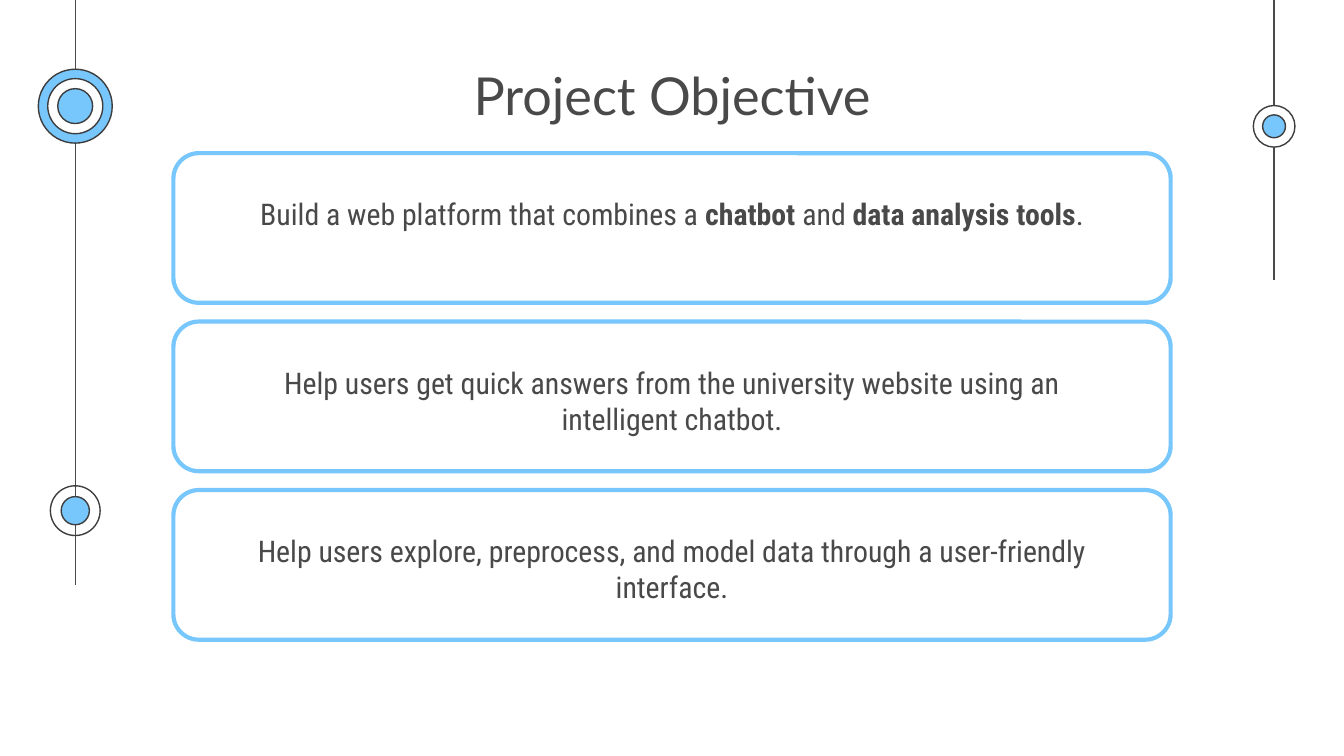
from lxml import etree
from pptx import Presentation
from pptx.dml.color import RGBColor
from pptx.enum import shapes, text
from pptx.oxml import ns
from pptx.util import Inches, Pt

BLUE = RGBColor(0x77, 0xC6, 0xFC)
WHITE = RGBColor(0xFF, 0xFF, 0xFF)
GREY = RGBColor(0x49, 0x49, 0x49)
OUTLINE = RGBColor(0x3D, 0x3D, 0x3D)

OBJECTIVES = [
    [("Build a web platform that combines a ", False), ("chatbot", True),
     (" and ", False), ("data analysis tools", True), (".", False)],
    [("Help users get quick answers from the university website "
      "using an intelligent chatbot.", False)],
    [("Help users explore, preprocess, and model data through a "
      "user-friendly interface.", False)],
]


def add_outlined_shape(slide, kind, box, fill, line, width):
    """Add a shadowless shape, unfilled when fill is None."""
    shape = slide.shapes.add_shape(kind, *map(Inches, box))
    shape.shadow.inherit = False
    if fill is None:
        shape.fill.background()
    else:
        shape.fill.solid()
        shape.fill.fore_color.rgb = fill
    shape.line.color.rgb = line
    shape.line.width = Pt(width)
    return shape


def add_timeline(slide, x, length, markers):
    """Hang a vertical line from the top edge with concentric rings along it."""
    connector = slide.shapes.add_connector(
        shapes.MSO_CONNECTOR.STRAIGHT, Inches(x), 0, Inches(x), Inches(length))
    connector.line.color.rgb = GREY
    connector.line.width = Pt(0.75)
    etree.SubElement(connector._element.spPr, ns.qn("a:effectLst"))
    for y, rings in markers:
        for diameter, fill in rings:
            box = (x - diameter / 2, y - diameter / 2, diameter, diameter)
            add_outlined_shape(slide, shapes.MSO_SHAPE.OVAL, box, fill, OUTLINE, 0.75)


def add_centred_text(slide, box, runs, font_name, size):
    """Write one centred paragraph of (text, bold) runs in a box."""
    frame = slide.shapes.add_textbox(*map(Inches, box)).text_frame
    frame.word_wrap = True
    frame.vertical_anchor = text.MSO_ANCHOR.TOP
    frame.margin_left = frame.margin_right = Inches(0.1)
    frame.margin_top = frame.margin_bottom = Inches(0.1)
    paragraph = frame.paragraphs[0]
    paragraph.alignment = text.PP_ALIGN.CENTER
    for content, bold in runs:
        run = paragraph.add_run()
        run.text = content
        run.font.name = font_name
        run.font.size = Pt(size)
        run.font.bold = bold
        run.font.color.rgb = GREY


def add_objective(slide, box, runs):
    """Frame one objective in a rounded card."""
    left, top, width, height = box
    card = add_outlined_shape(
        slide, shapes.MSO_SHAPE.ROUNDED_RECTANGLE, box, None, BLUE, 2.25)
    card.adjustments[0] = 0.17
    text_box = (left + 0.27, top + 0.22, width - 0.54, height - 0.44)
    add_centred_text(slide, text_box, runs, "Roboto Condensed", 16)


def add_objectives(slide, box, gap):
    """Stack the objective cards evenly in a box."""
    left, top, width, height = box
    pitch = (height + gap) / len(OBJECTIVES)
    for index, runs in enumerate(OBJECTIVES):
        add_objective(slide, (left, top + index * pitch, width, pitch - gap), runs)


def main():
    """Build the project objective slide."""
    presentation = Presentation()
    presentation.slide_width = Inches(10)
    presentation.slide_height = presentation.slide_width * 9 // 16
    slide = presentation.slides.add_slide(presentation.slide_layouts[6])
    add_timeline(slide, 0.56, 4.35, [
        (3.8, [(0.37, None), (0.21, BLUE)]),
        (0.79, [(0.55, BLUE), (0.41, WHITE), (0.26, BLUE)]),
    ])
    add_timeline(slide, 9.48, 2.08, [(0.94, [(0.31, WHITE), (0.17, BLUE)])])
    add_centred_text(slide, (3.24, 0.37, 3.52, 0.63),
                     [("Project Objective", False)], "Lato", 28)
    add_objectives(slide, (1.29, 1.14, 7.42, 3.62), 0.14)
    presentation.save("out.pptx")


if __name__ == "__main__":
    main()
